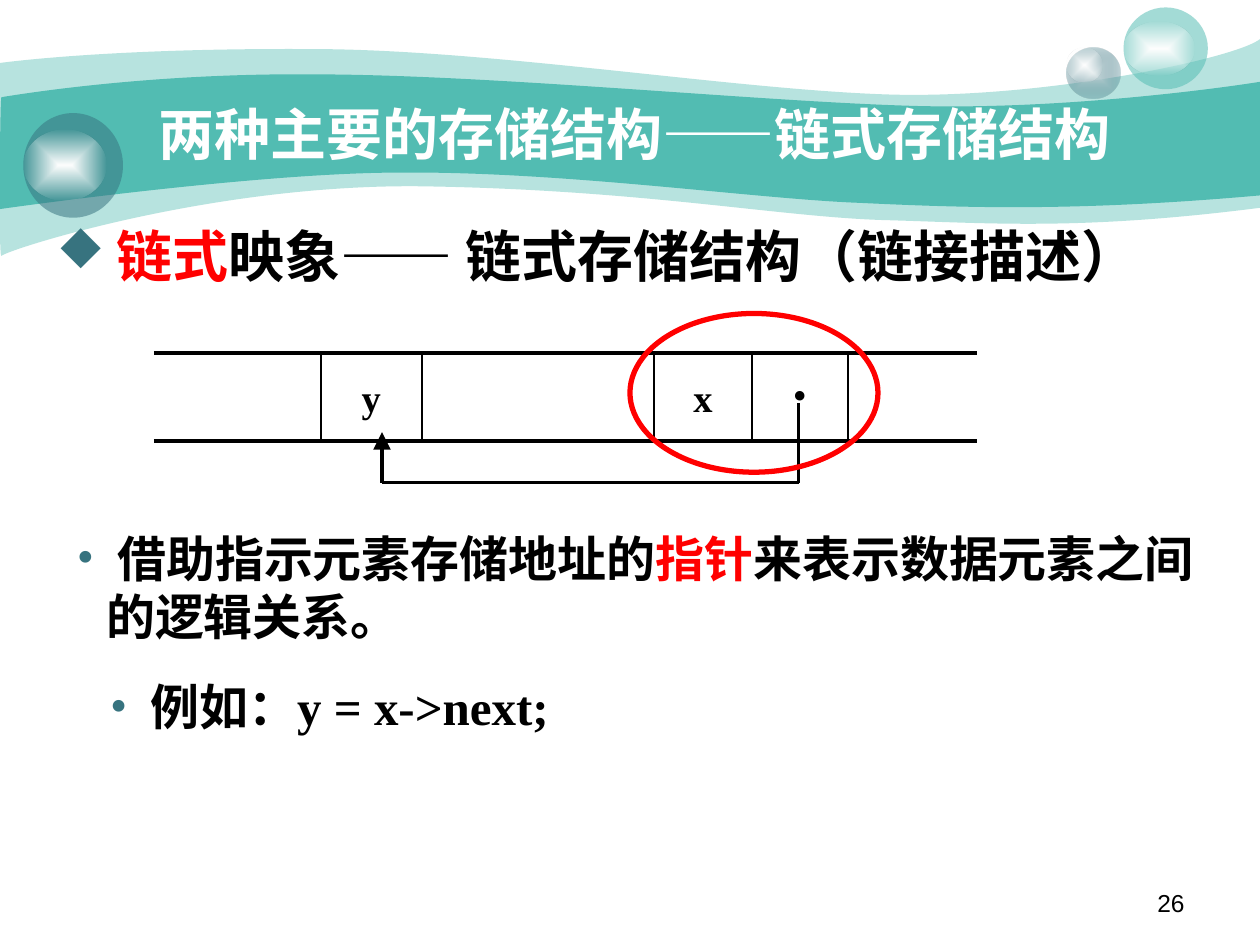
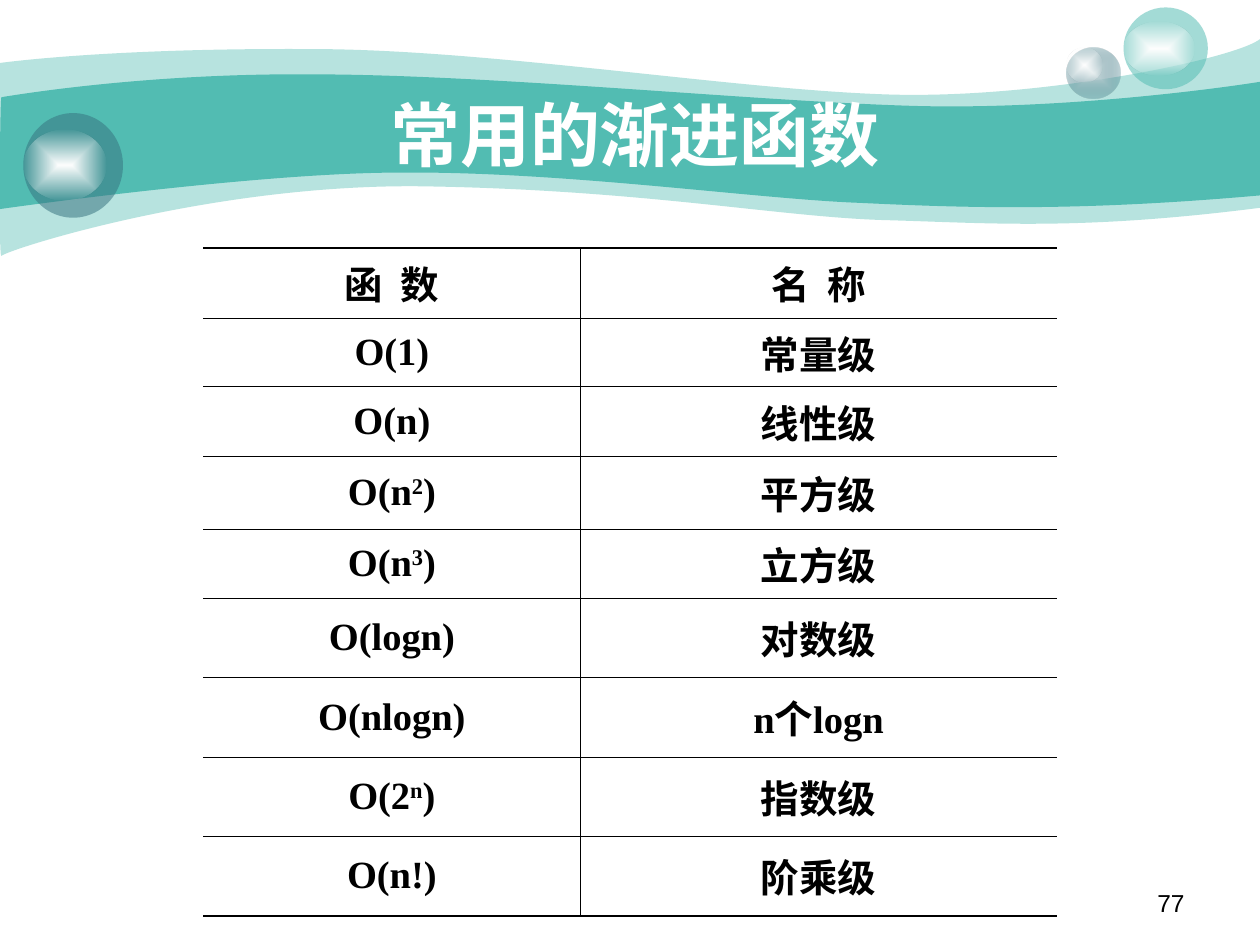
from lxml.etree import SubElement
from pptx import Presentation
from pptx.dml.color import RGBColor
from pptx.enum.lang import MSO_LANGUAGE_ID as LANG
from pptx.enum.shapes import MSO_CONNECTOR, MSO_SHAPE
from pptx.enum.text import MSO_ANCHOR as ANCHOR, PP_ALIGN as ALIGN
from pptx.oxml import parse_xml
from pptx.oxml.ns import nsdecls, qn
from pptx.util import Cm, Pt

rgb = RGBColor.from_string
TEAL, SLATE, WHITE, BLACK, RED = "52BCB2", "37737F", "FFFFFF", "000000", "FF0000"
SERIF, SANS, CJK = "Times New Roman", "Arial", "Noto Sans CJK SC"


def paint(sp, *stops):
    """Fill with one (colour, opacity %) or a centre-to-edge gradient of two; no line, no shadow."""
    sp.shadow.inherit = False
    sp.line.fill.background()
    sp.fill.solid()
    colors = [f'<a:srgbClr val="{c}"><a:alpha val="{a * 1000}"/></a:srgbClr>' for c, a in stops]
    if len(colors) == 1:
        xml = f'<a:solidFill {nsdecls("a")}>{colors[0]}</a:solidFill>'
    else:
        xml = (f'<a:gradFill {nsdecls("a")}><a:gsLst><a:gs pos="0">{colors[0]}</a:gs>'
               f'<a:gs pos="100000">{colors[1]}</a:gs></a:gsLst><a:path path="rect">'
               '<a:fillToRect l="50000" t="50000" r="50000" b="50000"/></a:path></a:gradFill>')
    spPr = sp.element.spPr
    spPr.replace(spPr.find(qn("a:solidFill")), parse_xml(xml))


def write(p, text, size, font=SERIF, color=BLACK, bold=True, raised=False):
    r = p.add_run()
    r.text = text
    r.font.name, r.font.size, r.font.bold = font, Pt(size), bold
    r.font.color.rgb = rgb(color)
    r.font.language_id = LANG.SIMPLIFIED_CHINESE
    SubElement(r.font._element, qn("a:ea"), typeface=CJK)
    if raised:
        r.font._element.set("baseline", "30000")


# Each wave: opacity, its top edge, then its bottom and left edge, as chained Bézier points
WAVES = [
    (41,
     [(0, 1.27), (0.61, 1.19), (2.72, 0.97), (6.27, 0.99), (9.8, 0.99), (14.6, 1.78),
      (17.75, 1.9), (20.88, 2.03), (24.89, 1.19), (25.4, 0.79)],
     [(25.4, 4.19), (21.79, 4.65), (19.99, 4.5), (17.91, 4.44), (15.8, 4.39), (13.08, 3.84),
      (8.71, 3.76), (4.37, 3.66), (0.1, 5.05), (0.03, 5.16), (-0.03, 5.28), (0, 1.9), (0, 1.27)]),
    (100,
     [(0.03, 1.96), (0.05, 1.96), (2.79, 1.47), (6.3, 1.5), (9.8, 1.5), (15.11, 2.03),
      (18.24, 2.13), (21.36, 2.24), (24.79, 1.75), (25.4, 1.65)],
     [(25.4, 3.94), (21.67, 4.27), (19.43, 4.19), (17.32, 4.09), (15.21, 4.01), (11.35, 3.45),
      (8.05, 3.48), (5.16, 3.48), (-0.05, 4.22), (-0.03, 4.22), (0, 4.22), (0, 1.96),
      (0.03, 1.96)]),
]
GLOW = [(WHITE, 100), (WHITE, 0)]
BUBBLES = [
    ((21.51, 0.97, 1.07, 1.02), [("CCDBDE", 100), (SLATE, 31)]),
    ((21.51, 0.97, 0.71, 0.69), GLOW),
    ((22.65, 0.15, 1.7, 1.65), [(TEAL, 53)]),
    ((22.65, 0.43, 1.42, 1.09), GLOW),
    ((0.47, 2.28, 2.01, 2.11), [(SLATE, 53)]),
    ((0.47, 2.62, 1.68, 1.42), GLOW),
]

prs = Presentation()
prs.slide_width, prs.slide_height = Cm(25.4), Cm(19.05)

# Shared background, title and page number
for title, title_size, page in [("两种主要的存储结构——链式存储结构", 32, "26"),
                                ("常用的渐进函数", 40, "77")]:
    slide = prs.slides.add_slide(prs.slide_layouts[6])
    for opacity, top_edge, bottom_edge in WAVES:
        outline = [(Cm(x), Cm(y)) for x, y in top_edge + bottom_edge]
        builder = slide.shapes.build_freeform(*outline[0])
        builder.add_line_segments(outline[1:], close=True)
        wave = builder.convert_to_shape()
        # Join every three line points along an edge into one Bézier curve
        segments = list(wave.element.iter(qn("a:lnTo")))
        side = len(top_edge) - 1
        for edge in (segments[:side], segments[side + 1:]):
            for i in range(0, len(edge), 3):
                curve = parse_xml(f'<a:cubicBezTo {nsdecls("a")}/>')
                edge[i].addprevious(curve)
                for segment in edge[i:i + 3]:
                    curve.append(segment[0])
                    segment.getparent().remove(segment)
        paint(wave, (TEAL, opacity))
    for box, stops in BUBBLES:
        paint(slide.shapes.add_shape(MSO_SHAPE.OVAL, *map(Cm, box)), *stops)

    for box, anchor, align, text, style in [
        ((18.21, 17.78, 5.92, 0.89), ANCHOR.TOP, ALIGN.RIGHT, page,
         dict(size=14, font=SANS, bold=False)),
        ((2.54, 1.9, 20.52, 1.57), ANCHOR.MIDDLE, ALIGN.CENTER, title,
         dict(size=title_size, color=WHITE)),
    ]:
        tf = slide.shapes.add_textbox(*map(Cm, box)).text_frame
        tf.word_wrap, tf.vertical_anchor = True, anchor
        tf.paragraphs[0].alignment = align
        write(tf.paragraphs[0], text, **style)

storage, functions = prs.slides

# Slide 1: bulleted text; each paragraph is bullet, its font, left margin, hanging, spacing, runs
bodies = [
    ((0.89, 3.94, 23.19, 2.03), [
        ("u", "Wingdings", 0.98, 0.98, 1.3, [
            (" ", 28, CJK), ("链式", 32, CJK, RED), ("映象", 32, CJK), ("—— ", 32),
            ("链式存储结构（链接描述）", 32, CJK)])]),
    ((1.3, 10.52, 23.6, 4.45), [
        ("•", SERIF, 0.59, 0.59, 1, [(" 借助指示元素存储地址的", 28), ("指针", 28, SERIF, RED),
                                     ("来表示数据元素之间的逻辑关系。", 28)]),
        ("•", SERIF, 1.26, 0.59, 1, [(" 例如：y = x->next;", 28)])]),
]
for box, paragraphs in bodies:
    tf = storage.shapes.add_textbox(*map(Cm, box)).text_frame
    tf.word_wrap = True
    for i, (bullet, bullet_font, margin, hanging, spacing, runs) in enumerate(paragraphs):
        p = tf.add_paragraph() if i else tf.paragraphs[0]
        if i:
            p.space_before = Pt(17.5)
        p.line_spacing = spacing
        pPr = p._p.get_or_add_pPr()
        pPr.set("marL", str(Cm(margin)))
        pPr.set("indent", str(-Cm(hanging)))
        SubElement(SubElement(pPr, qn("a:buClr")), qn("a:srgbClr"), val=SLATE)
        SubElement(pPr, qn("a:buFont"), typeface=bullet_font)
        SubElement(pPr, qn("a:buChar"), char=bullet)
        for run in runs:
            write(p, *run)

# Slide 1: memory strip with a pointer from x to y
TOP, BOTTOM = 7.11, 8.89
LEFT, RIGHT = 3.1, 19.7
Y_LEFT, Y_RIGHT, X_LEFT, X_RIGHT, LINK_RIGHT = dividers = 6.47, 8.5, 13.18, 15.16, 17.1
LINK_X, TARGET_X, LINK_Y = 16.1, 7.7, 9.73

for label, size, left, right in [("·", 33.3, X_RIGHT, LINK_RIGHT), ("x", 22, X_LEFT, X_RIGHT),
                                 ("y", 22, Y_LEFT, Y_RIGHT)]:
    box = left, TOP, right - left, BOTTOM - TOP
    tf = storage.shapes.add_textbox(*map(Cm, box)).text_frame
    tf.word_wrap, tf.vertical_anchor = True, ANCHOR.MIDDLE
    p = tf.paragraphs[0]
    p.alignment = ALIGN.CENTER
    if label == "·":
        p.line_spacing = 0.9
    write(p, label, size)

lines = [(LEFT, y, RIGHT, y, 2.25) for y in (TOP, BOTTOM)]
lines += [(x, TOP, x, BOTTOM, 1) for x in dividers]
lines += [(LINK_X, 8.13, LINK_X, LINK_Y, 2), (LINK_X, LINK_Y, TARGET_X, LINK_Y, 2),
          (TARGET_X, LINK_Y, TARGET_X, 8.71, 2)]
for *ends, width in lines:
    line = storage.shapes.add_connector(MSO_CONNECTOR.STRAIGHT, *map(Cm, ends))
    line.line.color.rgb = rgb(BLACK)
    line.line.width = Pt(width)
    SubElement(line._element.spPr, qn("a:effectLst"))
SubElement(line.line._get_or_add_ln(), qn("a:tailEnd"), type="triangle", w="lg", len="lg")

node_ring = storage.shapes.add_shape(MSO_SHAPE.OVAL, Cm(12.7), Cm(6.32), Cm(5), Cm(3.2))
node_ring.shadow.inherit = False
node_ring.fill.background()
node_ring.line.color.rgb = rgb(RED)
node_ring.line.width = Pt(3)

# Slide 2: growth classes; the second part of a function is raised
classes = [
    (["函  数"], "名  称"), (["O(1)"], "常量级"), (["O(n)"], "线性级"),
    (["O(n", "2", ")"], "平方级"), (["O(n", "3", ")"], "立方级"), (["O(logn)"], "对数级"),
    (["O(nlogn)"], "n个logn"), (["O(2", "n", ")"], "指数级"), (["O(n!)"], "阶乘级"),
]
heights = [1.42, 1.37, 1.41, 1.47, 1.39] + [1.6] * 4
widths = [7.6, 9.6]
THIN, THICK = 0.45, 1.08
table = functions.shapes.add_table(len(classes), 2, Cm(4.1), Cm(5), Cm(sum(widths)),
                                   Cm(sum(heights))).table
table.first_row = table.horz_banding = False
for column, width in zip(table.columns, widths):
    column.width = Cm(width)
for i, (function, name) in enumerate(classes):
    table.rows[i].height = Cm(heights[i])
    for j, parts in enumerate((function, [name])):
        cell = table.cell(i, j)
        cell.vertical_anchor = ANCHOR.MIDDLE
        p = cell.text_frame.paragraphs[0]
        p.alignment = ALIGN.CENTER
        for k, part in enumerate(parts):
            write(p, part, 22, raised=k == 1)
        borders = {"lnL": THIN if j else 0, "lnR": 0 if j else THIN,
                   "lnT": THIN if i else THICK,
                   "lnB": THIN if i < len(classes) - 1 else THICK}
        tcPr = cell._tc.get_or_add_tcPr()
        for side, width in borders.items():
            ln = SubElement(tcPr, qn(f"a:{side}"), w=str(Pt(width)))
            if width:
                SubElement(SubElement(ln, qn("a:solidFill")), qn("a:srgbClr"), val=BLACK)
            else:
                SubElement(ln, qn("a:noFill"))
        cell.fill.background()

prs.save("out.pptx")
